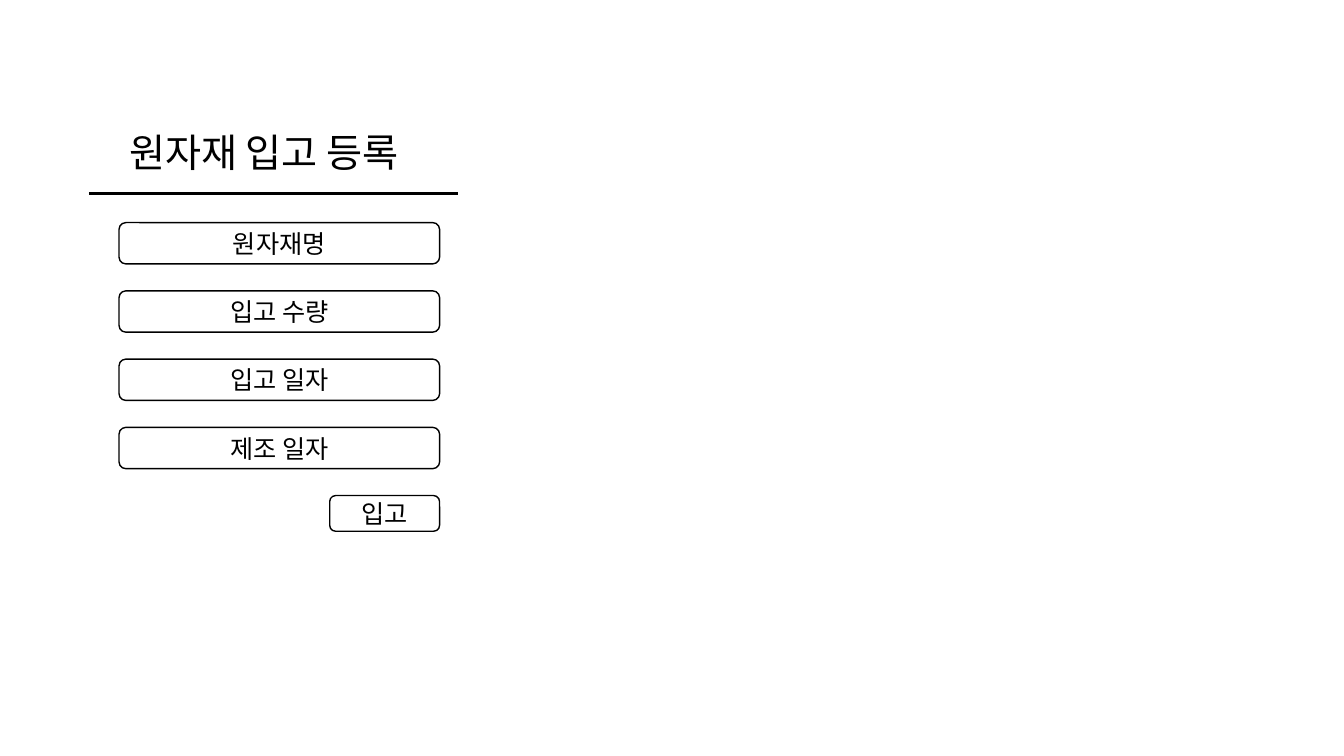
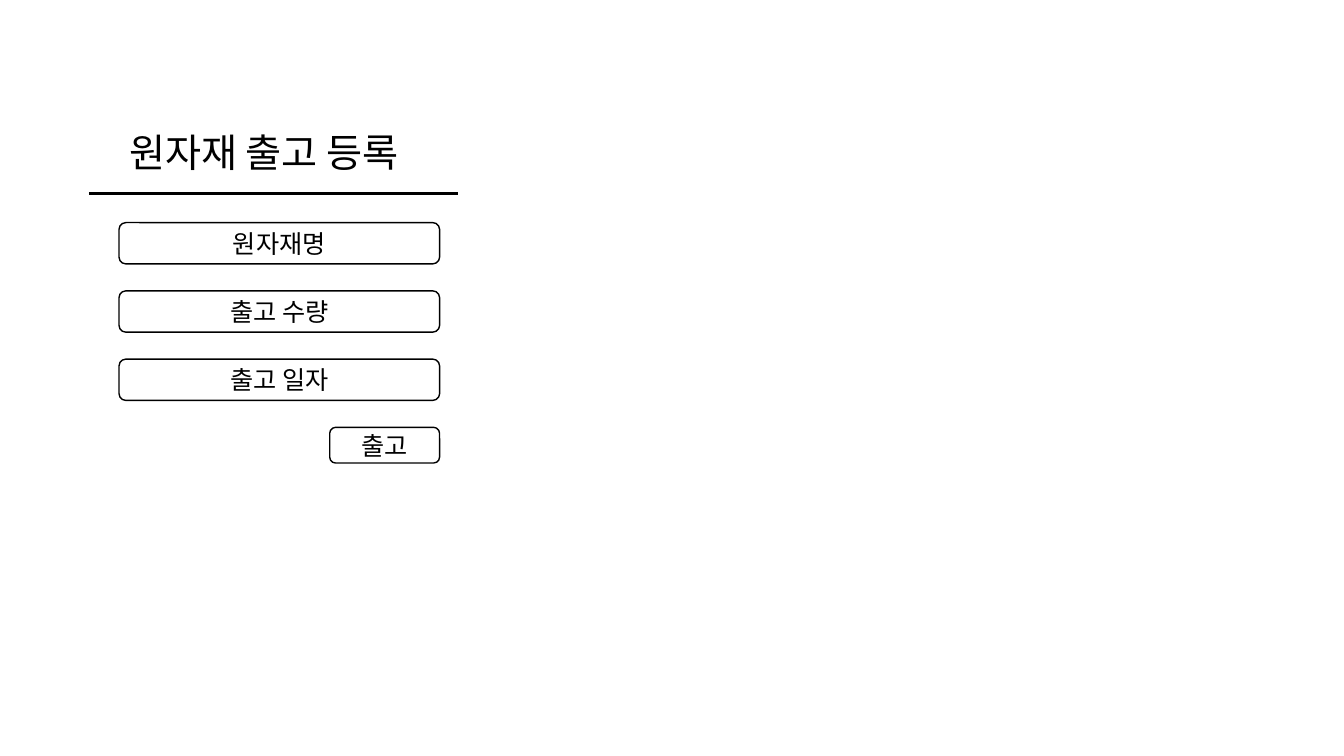
import lxml.etree
import pptx
import pptx.dml.color
import pptx.enum.shapes
import pptx.enum.text
import pptx.oxml.ns
import pptx.util

Pt = pptx.util.Pt
FONT = "Noto Sans CJK KR"
COLORS = {"ink": "000000", "paper": "FFFFFF"}

# Form geometry, in points
FORM_BOX = (63.5, 88, 263.5)  # left, top, width
INDENT = 21.5
TITLE_SIZE = (547, 41)
RULE_OFFSET = 50.2
FIELD_OFFSET, FIELD_PITCH = 71, 48.75
FIELD_SIZE = (229, 29.5)
BUTTON_SIZE = (78.5, 25.5)

FORMS = [
    ("원자재 입고 등록", ["원자재명", "입고 수량", "입고 일자", "제조 일자"], "입고"),
    ("원자재 출고 등록", ["원자재명", "출고 수량", "출고 일자"], "출고"),
]


def color(name):
    return pptx.dml.color.RGBColor.from_string(COLORS[name])


def write(frame, text, size, align, anchor):
    frame.word_wrap = True
    frame.vertical_anchor = anchor
    para = frame.paragraphs[0]
    para.alignment = align
    span = para.add_run()
    span.text = text
    span.font.size = Pt(size)
    span.font.name = FONT
    span.font.color.rgb = color("ink")
    east_asian = lxml.etree.SubElement(
        span.font._element, pptx.oxml.ns.qn("a:ea"))
    east_asian.set("typeface", FONT)


def add_title(page, text, left, top):
    title = page.shapes.title
    title.left, title.top = Pt(left), Pt(top)
    title.width, title.height = map(Pt, TITLE_SIZE)
    write(title.text_frame, text, 28, pptx.enum.text.PP_ALIGN.LEFT,
          pptx.enum.text.MSO_ANCHOR.TOP)
    title.text_frame.auto_size = pptx.enum.text.MSO_AUTO_SIZE.SHAPE_TO_FIT_TEXT


def add_rule(page, left, top, width):
    rule = page.shapes.add_connector(
        pptx.enum.shapes.MSO_CONNECTOR.STRAIGHT,
        Pt(left), Pt(top), Pt(left + width), Pt(top))
    rule.line.color.rgb = color("ink")
    rule.line.width = Pt(1.5)
    lxml.etree.SubElement(
        rule._element.spPr, pptx.oxml.ns.qn("a:effectLst"))


def add_rounded_box(page, text, left, top, size):
    box = page.shapes.add_shape(
        pptx.enum.shapes.MSO_SHAPE.ROUNDED_RECTANGLE,
        Pt(left), Pt(top), *map(Pt, size))
    box.shadow.inherit = False
    box.fill.solid()
    box.fill.fore_color.rgb = color("paper")
    box.line.color.rgb = color("ink")
    box.line.width = Pt(1)
    write(box.text_frame, text, 18, pptx.enum.text.PP_ALIGN.CENTER,
          pptx.enum.text.MSO_ANCHOR.MIDDLE)


def add_form(page, form_box, title, fields, action):
    """Stack the title, rule and fields, with the button under the right end."""
    left, top, width = form_box
    field_left = left + INDENT
    add_title(page, title, field_left, top)
    add_rule(page, left, top + RULE_OFFSET, width)
    row_top = top + FIELD_OFFSET
    for field in fields:
        add_rounded_box(page, field, field_left, row_top, FIELD_SIZE)
        row_top += FIELD_PITCH
    button_left = field_left + FIELD_SIZE[0] - BUTTON_SIZE[0]
    add_rounded_box(page, action, button_left, row_top, BUTTON_SIZE)


def main():
    deck = pptx.Presentation()
    deck.slide_width, deck.slide_height = Pt(960), Pt(540)
    title_only = deck.slide_layouts[5]
    for title, fields, action in FORMS:
        page = deck.slides.add_slide(title_only)
        add_form(page, FORM_BOX, title, fields, action)
    deck.save("out.pptx")


if __name__ == "__main__":
    main()
